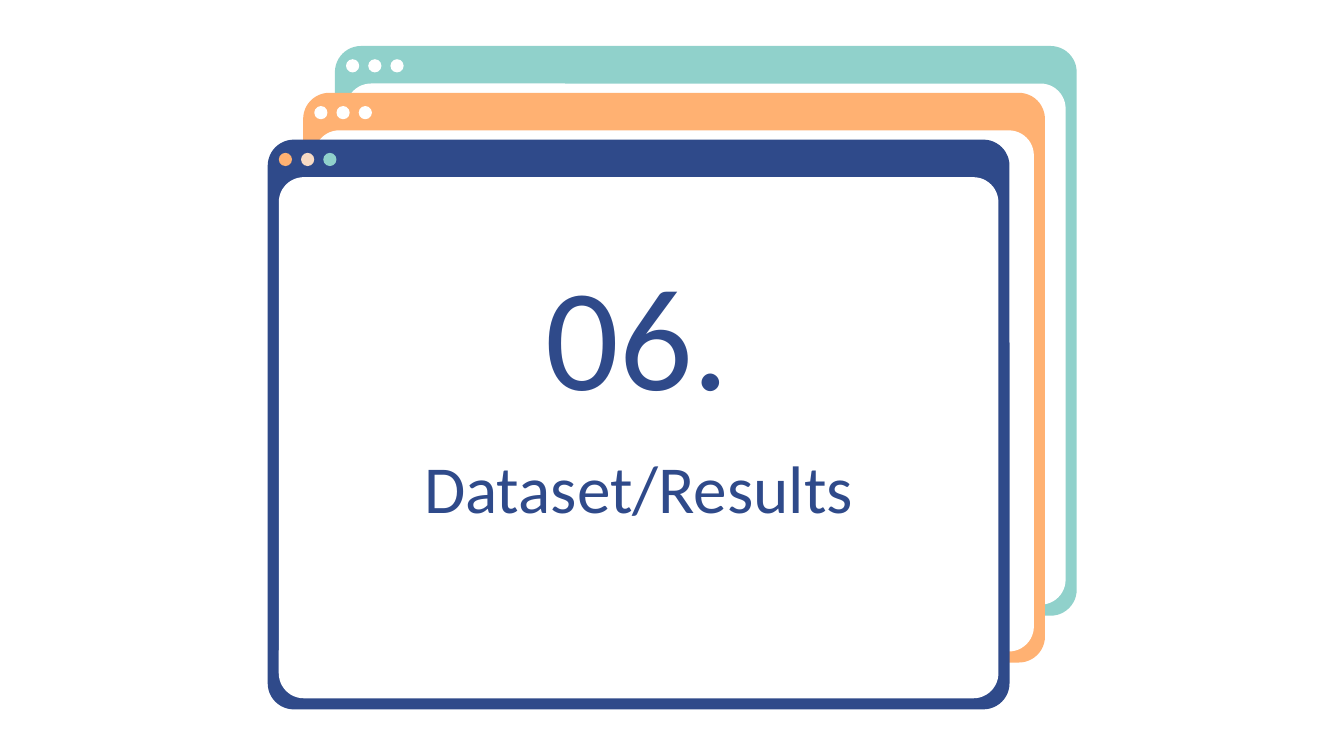
from dataclasses import dataclass

from pptx import Presentation
from pptx.dml.color import RGBColor
from pptx.enum.shapes import MSO_SHAPE as Preset
from pptx.enum.text import MSO_ANCHOR as Anchor, MSO_AUTO_SIZE as AutoSize, PP_ALIGN as Align
from pptx.util import Cm, Pt


@dataclass(frozen=True)
class Theme:
    navy: str = "2F4A8A"
    orange: str = "FFB172"
    teal: str = "90D1CB"
    peach: str = "F8DBC4"
    white: str = "FFFFFF"
    font: str = "Calibri"
    number_size: int = 78
    title_size: int = 36


@dataclass(frozen=True)
class Box:
    """A rectangle in centimetres."""
    left: float
    top: float
    width: float
    height: float

    def inner(self, left, top, width, height):
        return Box(self.left + left, self.top + top, width, height)

    def lengths(self):
        return Cm(self.left), Cm(self.top), Cm(self.width), Cm(self.height)


THEME = Theme()


def add_filled(page, preset, box, color, rounding=None):
    shape = page.shapes.add_shape(preset, *box.lengths())
    shape.shadow.inherit = False
    shape.fill.solid()
    shape.fill.fore_color.rgb = RGBColor.from_string(color)
    shape.line.fill.background()
    if rounding is not None:
        shape.adjustments[0] = rounding


def add_window(page, box, frame_color, dot_colors):
    """Browser window: coloured frame, white pane and a row of dots."""
    side, bar, dot, pitch = 0.21, 0.71, 0.25, 0.42
    pane = box.inner(side, bar, box.width - 2 * side, box.height - bar - side)
    add_filled(page, Preset.ROUNDED_RECTANGLE, box, frame_color, 0.046)
    add_filled(page, Preset.ROUNDED_RECTANGLE, pane, THEME.white, 0.048)
    for index, color in enumerate(dot_colors):
        dot_box = box.inner(side + index * pitch, 0.25, dot, dot)
        add_filled(page, Preset.OVAL, dot_box, color)


def write_line(shape, box, text, size, anchor):
    shape.left, shape.top, shape.width, shape.height = box.lengths()
    frame = shape.text_frame
    frame.word_wrap = True
    frame.auto_size = AutoSize.NONE
    frame.vertical_anchor = anchor
    frame.margin_left = frame.margin_right = Cm(0.25)
    frame.margin_top = frame.margin_bottom = Cm(0.25)
    para = frame.paragraphs[0]
    para.alignment = Align.CENTER
    span = para.add_run()
    span.text = text
    span.font.name = THEME.font
    span.font.size = Pt(size)
    span.font.color.rgb = RGBColor.from_string(THEME.navy)


def add_heading(page, box, number, title):
    """Section number above the section title, inside the front window."""
    number_box = box.inner(2.76, 1.65, 8.46, 3.89)
    title_box = box.inner(2.31, 5.39, 9.4, 2.34)
    write_line(page.shapes.title, title_box, title, THEME.title_size, Anchor.MIDDLE)
    number_shape = page.shapes.add_textbox(*number_box.lengths())
    write_line(number_shape, number_box, number, THEME.number_size, Anchor.BOTTOM)


def build_section_page(deck, number, title):
    page = deck.slides.add_slide(deck.slide_layouts[5])
    page.background.fill.solid()
    page.background.fill.fore_color.rgb = RGBColor.from_string(THEME.white)

    # The title was created first; put it back on top of the windows afterwards.
    heading = page.shapes.title.element
    plain_dots = [THEME.white] * 3
    bright_dots = [THEME.orange, THEME.peach, THEME.teal]
    windows = [
        (6.33, THEME.teal, plain_dots),
        (5.73, THEME.orange, plain_dots),
        (5.06, THEME.navy, bright_dots),
    ]
    for index, (left, color, dots) in enumerate(windows):
        box = Box(left, 0.87 + index * 0.885, 14.02, 10.77)
        add_window(page, box, color, dots)
    heading.getparent().append(heading)
    add_heading(page, box, number, title)


def main():
    deck = Presentation()
    deck.slide_width, deck.slide_height = Cm(25.4), Cm(14.29)
    build_section_page(deck, "06.", "Dataset/Results")
    deck.save("out.pptx")


if __name__ == "__main__":
    main()
